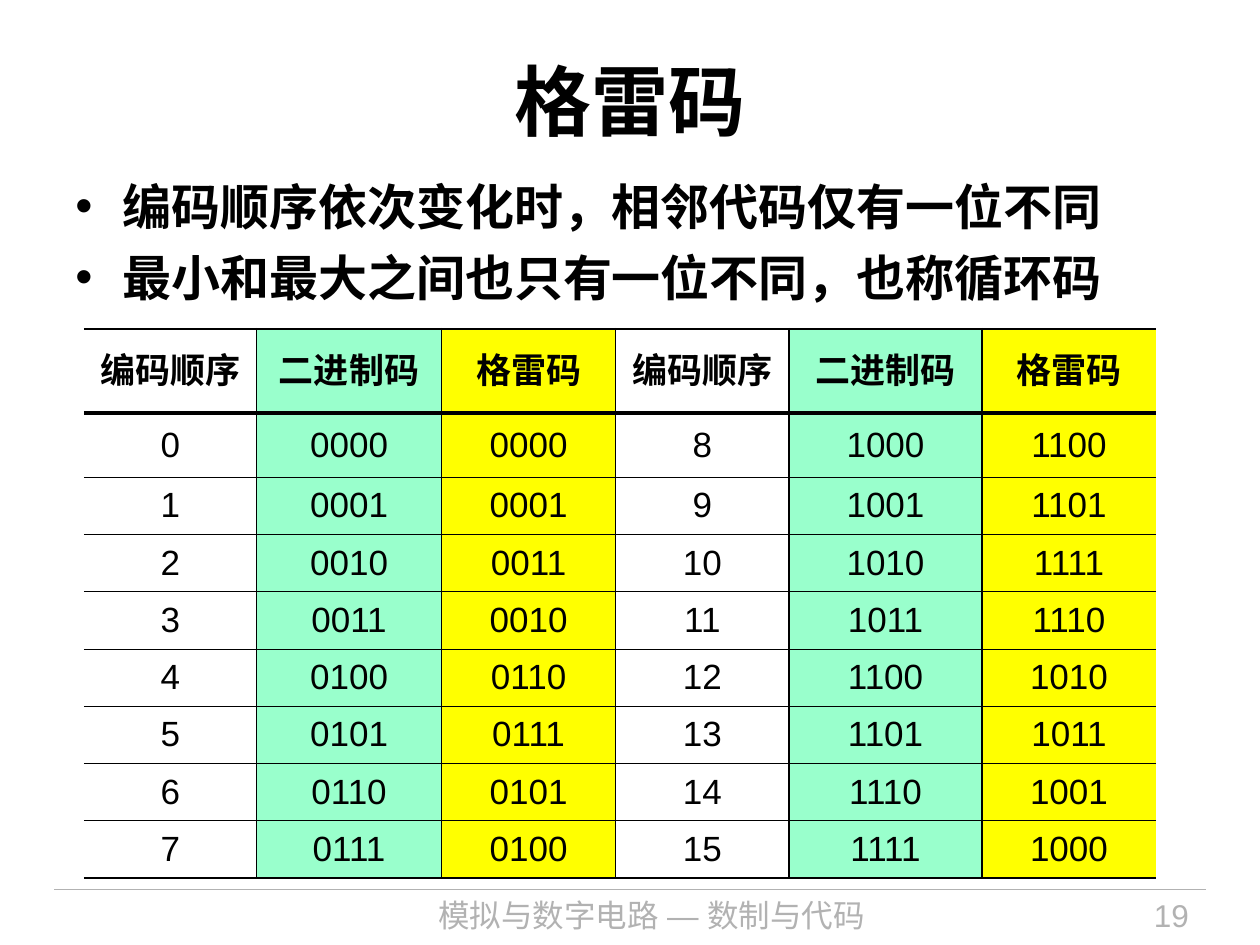
from dataclasses import dataclass

from lxml import etree
from pptx import Presentation
from pptx.dml import color
from pptx.enum import shapes, text
from pptx.oxml import ns
from pptx.util import Pt


@dataclass(frozen=True)
class Theme:
    font: str = "Arial"
    black: str = "000000"
    grey: str = "B2B2B2"
    green: str = "99FFCC"
    yellow: str = "FFFF00"
    title: int = 44
    body: int = 28
    table: int = 20
    footer: int = 18
    thin: float = 0.45
    medium: float = 1.08
    rule: float = 0.75
    thick: float = 2.25


THEME = Theme()
ALIGN = text.PP_ALIGN
MIDDLE = text.MSO_ANCHOR.MIDDLE
NO_STYLE = "{2D5ABB26-0587-4C30-8999-92F81FD0307C}"

COLUMN_WIDTHS = [98.6, 105.8, 99.4, 99.2, 110.2, 99.5]
ROW_HEIGHTS = [48.3, 36.5] + [32.73] * 7
HEADINGS = ["编码顺序", "二进制码", "格雷码"]
COLUMN_FILLS = [None, THEME.green, THEME.yellow]


def apply(target, values):
    for name, value in values.items():
        setattr(target, name, value)


def add_xml(parent, tag, **attributes):
    return etree.SubElement(parent, ns.qn(tag), attributes)


def write(paragraph, wording, size, colour=THEME.black, bold=False, **layout):
    run = paragraph.add_run()
    run.text = wording
    apply(run.font, {"name": THEME.font, "size": Pt(size), "bold": bold})
    run.font.color.rgb = color.RGBColor.from_string(colour)
    add_xml(run.font._element, "a:ea", typeface=THEME.font)
    apply(paragraph, layout)


def add_frame(slide, box, anchor=text.MSO_ANCHOR.TOP):
    frame = slide.shapes.add_textbox(*map(Pt, box)).text_frame
    apply(frame, {"word_wrap": True, "vertical_anchor": anchor})
    return frame


def add_rule(slide, left, top, width, colour, weight):
    line = slide.shapes.add_connector(
        shapes.MSO_CONNECTOR.STRAIGHT, Pt(left), Pt(top), Pt(left + width), Pt(top))
    line.line.color.rgb = color.RGBColor.from_string(colour)
    line.line.width = Pt(weight)
    add_xml(line._element.spPr, "a:effectLst")


def add_title(slide, box, wording):
    frame = add_frame(slide, box, MIDDLE)
    write(frame.paragraphs[0], wording, THEME.title, bold=True, alignment=ALIGN.CENTER)


def add_bullets(slide, box, lines, indent=27):
    frame = add_frame(slide, box)
    for index, wording in enumerate(lines):
        paragraph = frame.add_paragraph() if index else frame.paragraphs[0]
        write(paragraph, wording, THEME.body, bold=True, space_after=Pt(7))
        properties = paragraph._p.get_or_add_pPr()
        properties.set("marL", str(Pt(indent)))
        properties.set("indent", str(-Pt(indent)))
        add_xml(properties, "a:buFont", typeface=THEME.font)
        add_xml(properties, "a:buChar", char="•")


def code_rows():
    """Heading row, then n and n + 8 side by side with their binary and Gray codes."""
    def codes(n):
        return [str(n), f"{n:04b}", f"{n ^ n >> 1:04b}"]

    return [HEADINGS * 2] + [codes(n) + codes(n + 8) for n in range(8)]


def set_borders(cell, weights):
    properties = cell._tc.get_or_add_tcPr()
    for side in "LRTB":
        if side in weights:
            line = add_xml(properties, f"a:ln{side}", w=str(Pt(weights[side])))
            add_xml(add_xml(line, "a:solidFill"), "a:srgbClr", val=THEME.black)


def fill_cell(cell, colour):
    if colour:
        cell.fill.solid()
        cell.fill.fore_color.rgb = color.RGBColor.from_string(colour)
    else:
        cell.fill.background()


def add_code_table(slide, left, top):
    rows = code_rows()
    last_row, last_column = len(rows) - 1, len(rows[0]) - 1
    width = sum(COLUMN_WIDTHS)
    table = slide.shapes.add_table(
        len(rows), len(rows[0]), Pt(left), Pt(top), Pt(width), Pt(sum(ROW_HEIGHTS))).table
    apply(table, {"first_row": False, "horz_banding": False})
    table._tbl.tblPr.find(ns.qn("a:tableStyleId")).text = NO_STYLE
    for column, column_width in zip(table.columns, COLUMN_WIDTHS):
        column.width = Pt(column_width)
    for row, height in zip(table.rows, ROW_HEIGHTS):
        row.height = Pt(height)

    for r, values in enumerate(rows):
        for c, wording in enumerate(values):
            cell = table.cell(r, c)
            cell.vertical_anchor = MIDDLE
            write(cell.text_frame.paragraphs[0], wording, THEME.table, bold=r == 0,
                  alignment=ALIGN.CENTER, space_after=Pt(5))
            weights = {"T": THEME.medium if r == 0 else THEME.thin,
                       "B": THEME.medium if r == last_row else THEME.thin}
            if c > 0:
                weights["L"] = THEME.medium
            if c < last_column:
                weights["R"] = THEME.medium
            set_borders(cell, weights)
            fill_cell(cell, COLUMN_FILLS[c % len(COLUMN_FILLS)])
    add_rule(slide, left, top + ROW_HEIGHTS[0], width, THEME.black, THEME.thick)


def add_footer(slide, left, top, width, wording, number):
    add_rule(slide, left, top, width, THEME.grey, THEME.rule)
    parts = [(148.3, 386, wording, ALIGN.CENTER), (559.4, 96, number, ALIGN.RIGHT)]
    for offset, part_width, content, alignment in parts:
        frame = add_frame(slide, (left + offset, top, part_width, 32))
        write(frame.paragraphs[0], content, THEME.footer, THEME.grey, alignment=alignment)


def main():
    presentation = Presentation()
    apply(presentation, {"slide_width": Pt(720), "slide_height": Pt(540)})
    slide = presentation.slides.add_slide(presentation.slide_layouts[6])
    add_footer(slide, 31, 508.3, 658, "模拟与数字电路 — 数制与代码", "19")
    add_title(slide, (36, 12.2, 648, 90), "格雷码")
    add_bullets(slide, (36, 97.2, 641.5, 96.5),
                ["编码顺序依次变化时，相邻代码仅有一位不同",
                 "最小和最大之间也只有一位不同，也称循环码"])
    add_code_table(slide, 48, 187.9)
    presentation.save("out.pptx")


if __name__ == "__main__":
    main()
